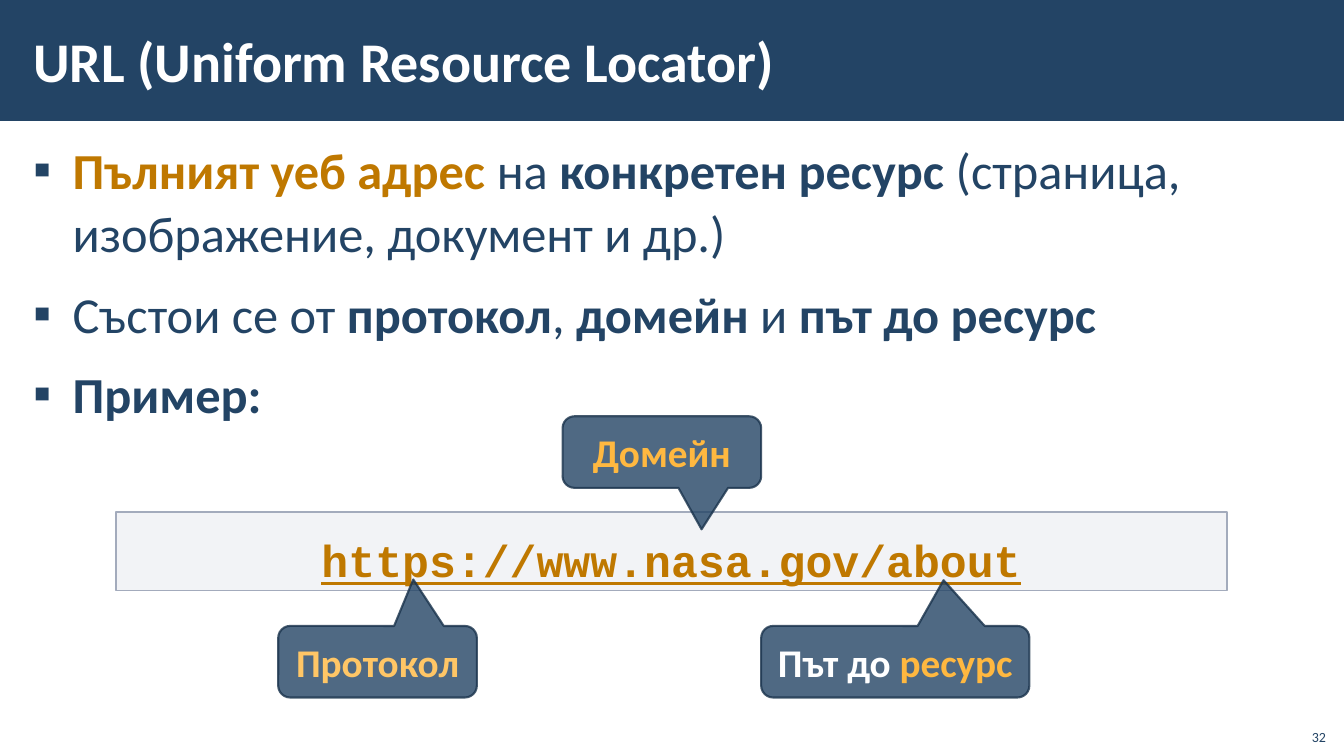
"""Build the slide that explains the parts of a URL."""
from dataclasses import dataclass
from typing import NamedTuple, Optional

from lxml.etree import SubElement
from pptx import Presentation
from pptx.dml.color import RGBColor
from pptx.enum.shapes import MSO_SHAPE as Preset
from pptx.enum.text import MSO_ANCHOR as Anchor, PP_ALIGN as Align
from pptx.oxml.ns import qn
from pptx.util import Inches, Pt

CELL = Inches(0.1)
COLUMNS, ROWS = 133.3, 75


@dataclass(frozen=True)
class Theme:
    navy: str = "234465"
    outline: str = "1A334C"
    white: str = "FFFFFF"
    ochre: str = "BF7800"
    amber: str = "FFB840"
    pale_amber: str = "FFC666"
    mist: str = "C2C7D2"
    mist_edge: str = "A3ABBC"
    sans: str = "Calibri"
    mono: str = "Courier New"
    title_size: int = 40
    body_size: int = 36
    address_size: int = 32
    label_size: int = 28
    number_size: int = 10


THEME = Theme()


class Area(NamedTuple):
    column: float
    row: float
    columns: float
    rows: float

    def lengths(self) -> list[int]:
        return [round(cells * CELL) for cells in self]


class Words(NamedTuple):
    text: str
    bold: bool = False
    color: Optional[str] = None


@dataclass(frozen=True)
class Callout:
    area: Area
    tip: tuple[float, float]
    label: list[Words]


POINTS = [
    [Words("Пълният уеб адрес ", True, THEME.ochre), Words("на "),
     Words("конкретен ресурс ", True), Words("(страница, изображение, документ и др.)")],
    [Words("Състои се от "), Words("протокол", True), Words(", "),
     Words("домейн", True), Words(" и "), Words("път до ресурс", True)],
    [Words("Пример:", True)],
]

CALLOUTS = [
    Callout(Area(27.6, 62.1, 19.7, 7.1), (0.18, -1.15),
            [Words("Протокол", True, THEME.pale_amber)]),
    Callout(Area(55.8, 41.3, 19.7, 7.1), (0.2, 1.08),
            [Words("Домейн", True, THEME.amber)]),
    Callout(Area(75.5, 62.1, 26.6, 7.1), (0.18, -1.14),
            [Words("Път до ", True), Words("ресурс", True, THEME.amber)]),
]


def add_bullet(paragraph) -> None:
    """Give a paragraph a square navy bullet with a hanging indent."""
    properties = paragraph._p.get_or_add_pPr()
    properties.set("marL", str(Inches(0.39)))
    properties.set("indent", str(-Inches(0.39)))
    tint = SubElement(properties, qn("a:buClr"))
    SubElement(tint, qn("a:srgbClr")).set("val", THEME.navy)
    SubElement(properties, qn("a:buFont")).set("typeface", THEME.sans)
    SubElement(properties, qn("a:buChar")).set("char", "▪")


def write(holder, paragraphs: list[list[Words]], *, size: int, color: str,
          font: str = THEME.sans, align: Align = Align.LEFT,
          anchor: Anchor = Anchor.TOP,
          insets: tuple[float, float, float, float] = (0.1, 0.05, 0.1, 0.05),
          bullets: bool = False, underline: bool = False) -> None:
    """Write formatted paragraphs into a shape or text box."""
    frame = holder.text_frame
    frame.word_wrap = True
    frame.vertical_anchor = anchor
    (frame.margin_left, frame.margin_top,
     frame.margin_right, frame.margin_bottom) = map(Inches, insets)
    for index, words in enumerate(paragraphs):
        paragraph = frame.add_paragraph() if index else frame.paragraphs[0]
        paragraph.alignment = align
        if bullets:
            paragraph.line_spacing = 1.05
            paragraph.space_before = Pt(6 if index else 0)
            paragraph.space_after = Pt(6)
            add_bullet(paragraph)
        for part in words:
            run = paragraph.add_run()
            run.text = part.text
            run.font.name = font
            run.font.size = Pt(size)
            run.font.bold = part.bold
            run.font.underline = underline
            run.font.color.rgb = RGBColor.from_string(part.color or color)


def set_opacity(shape, percent: int) -> None:
    """Apply one opacity to every colour set on a shape so far."""
    for tint in shape._element.spPr.iter(qn("a:srgbClr")):
        SubElement(tint, qn("a:alpha")).set("val", str(percent * 1000))


def add_panel(slide, area: Area, fill: str, preset: Preset = Preset.RECTANGLE):
    """Add a filled shape without a line or shadow."""
    panel = slide.shapes.add_shape(preset, *area.lengths())
    panel.shadow.inherit = False
    panel.fill.solid()
    panel.fill.fore_color.rgb = RGBColor.from_string(fill)
    panel.line.fill.background()
    return panel


def set_outline(shape, color: str, width: float) -> None:
    """Draw a solid line around a shape."""
    shape.line.color.rgb = RGBColor.from_string(color)
    shape.line.width = Pt(width)


def add_text(slide, area: Area, paragraphs: list[list[Words]], **style) -> None:
    """Add a text box with formatted paragraphs."""
    write(slide.shapes.add_textbox(*area.lengths()), paragraphs, **style)


def add_address(slide) -> None:
    """Add the sample address on its translucent strip."""
    strip = add_panel(slide, Area(11.5, 50.8, 110.2, 7.8), THEME.mist)
    set_opacity(strip, 20)
    set_outline(strip, THEME.mist_edge, 1)
    write(strip, [[Words("https://www.nasa.gov/about", True)]],
          size=THEME.address_size, color=THEME.ochre, font=THEME.mono,
          align=Align.CENTER, insets=(0.16, 0.2, 0.16, 0.07), underline=True)


def add_callout(slide, callout: Callout) -> None:
    """Add a callout that points at one part of the address."""
    bubble = add_panel(slide, callout.area, THEME.navy, Preset.ROUNDED_RECTANGULAR_CALLOUT)
    for index, offset in enumerate(callout.tip):
        bubble.adjustments[index] = offset
    set_outline(bubble, THEME.outline, 1.5)
    set_opacity(bubble, 80)
    write(bubble, [callout.label], size=THEME.label_size, color=THEME.white,
          align=Align.CENTER, anchor=Anchor.MIDDLE)


def main() -> None:
    """Assemble and save the slide."""
    deck = Presentation()
    deck.slide_width, deck.slide_height = round(COLUMNS * CELL), ROWS * CELL
    slide = deck.slides.add_slide(deck.slide_layouts[6])
    block_insets = (0.12, 0.04, 0.12, 0.04)

    add_panel(slide, Area(0, 0, COLUMNS, 12), THEME.navy)
    add_text(slide, Area(2.1, 1.1, 112.3, 9.7),
             [[Words("URL (Uniform Resource Locator)", True)]],
             size=THEME.title_size, color=THEME.white,
             anchor=Anchor.MIDDLE, insets=block_insets)
    add_text(slide, Area(2.1, 13.1, 129.2, 60.5), POINTS, size=THEME.body_size,
             color=THEME.navy, insets=block_insets, bullets=True)
    add_address(slide)
    for callout in CALLOUTS:
        add_callout(slide, callout)
    add_text(slide, Area(128.5, 71.2, 4, 3.2), [[Words("32")]],
             size=THEME.number_size, color=THEME.navy,
             align=Align.RIGHT, anchor=Anchor.BOTTOM)
    deck.save("out.pptx")


if __name__ == "__main__":
    main()
